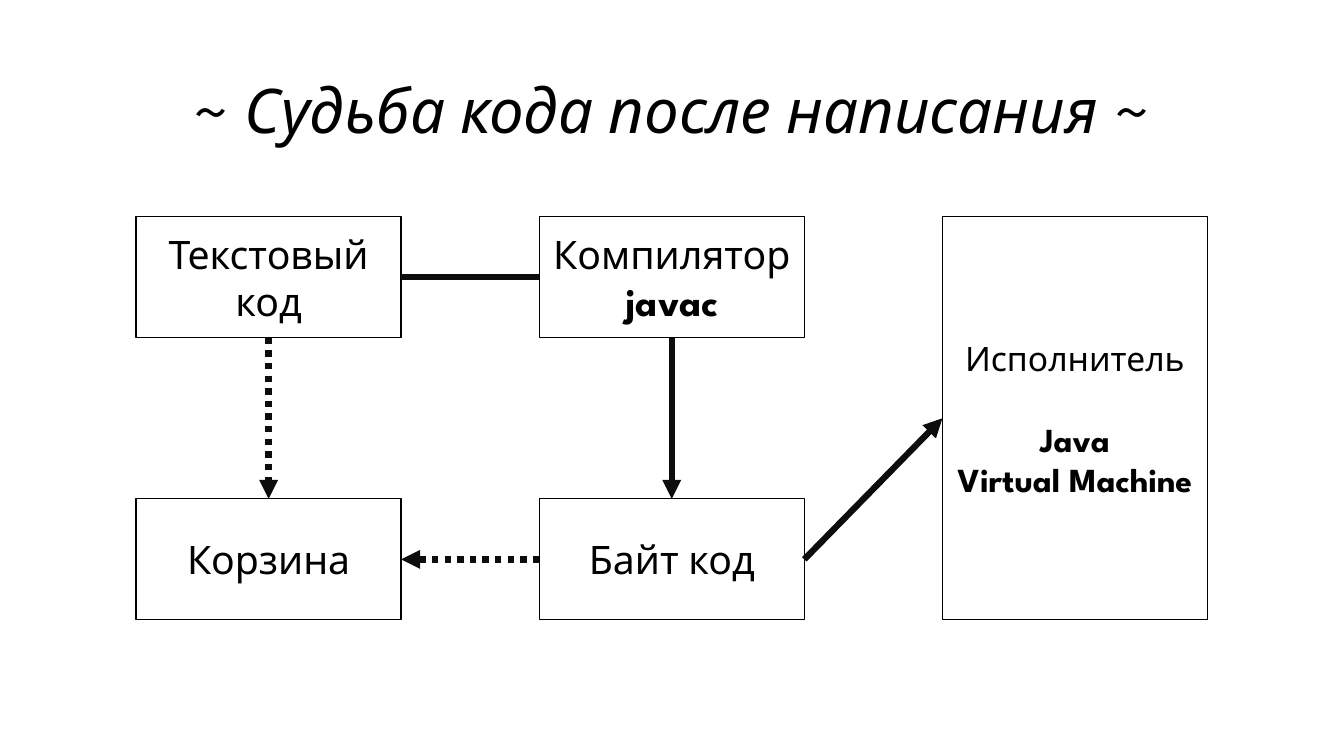
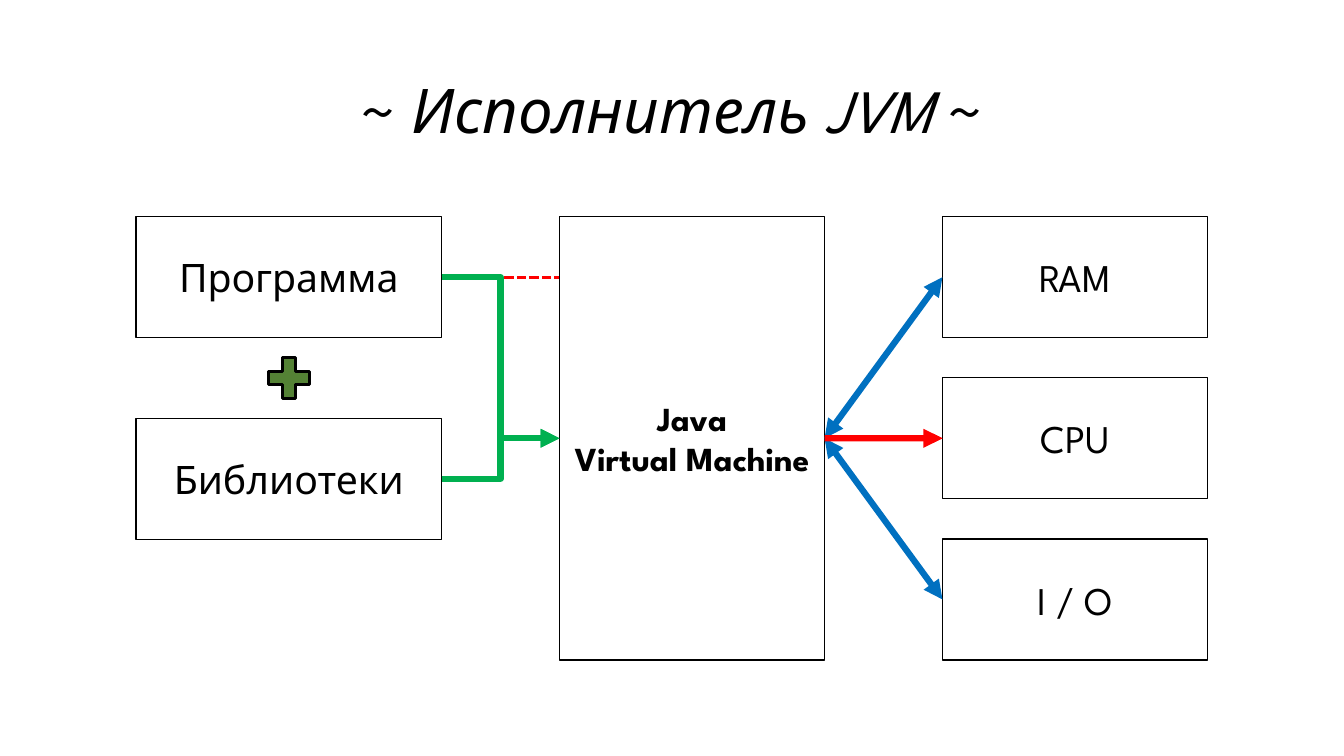
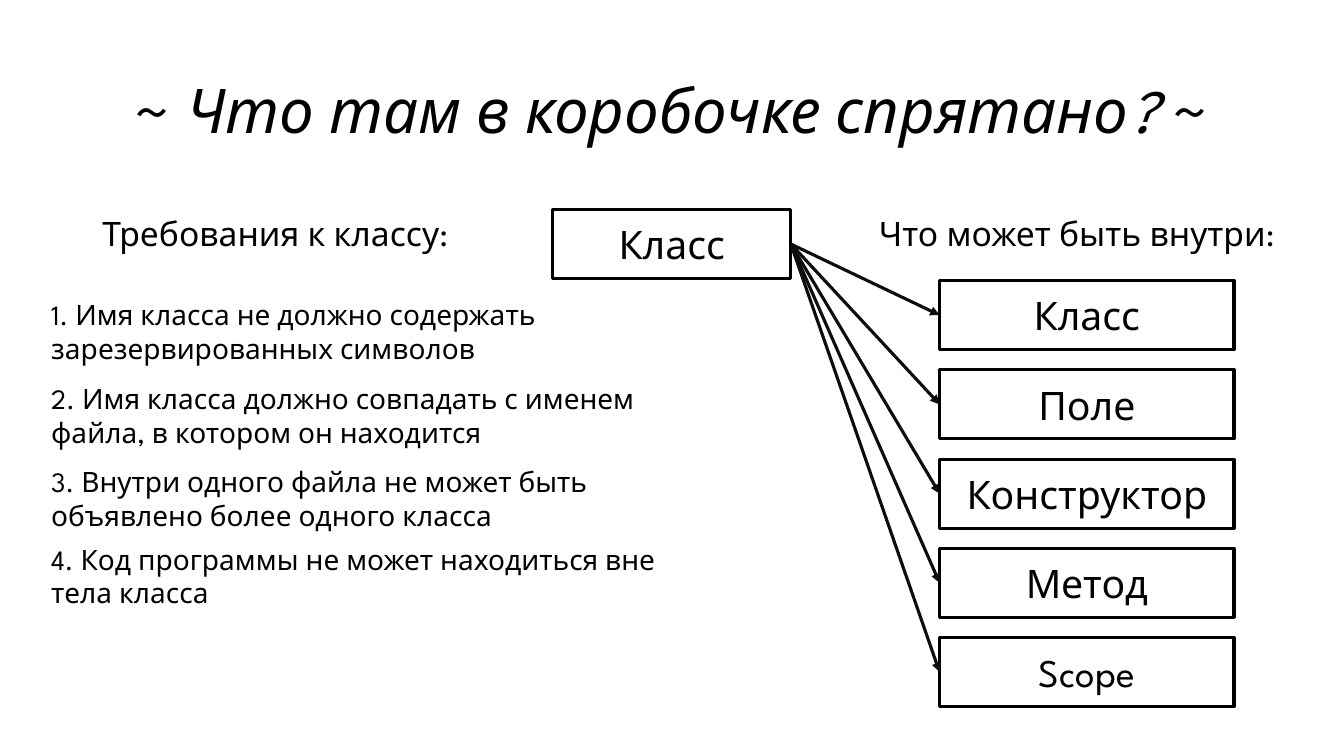
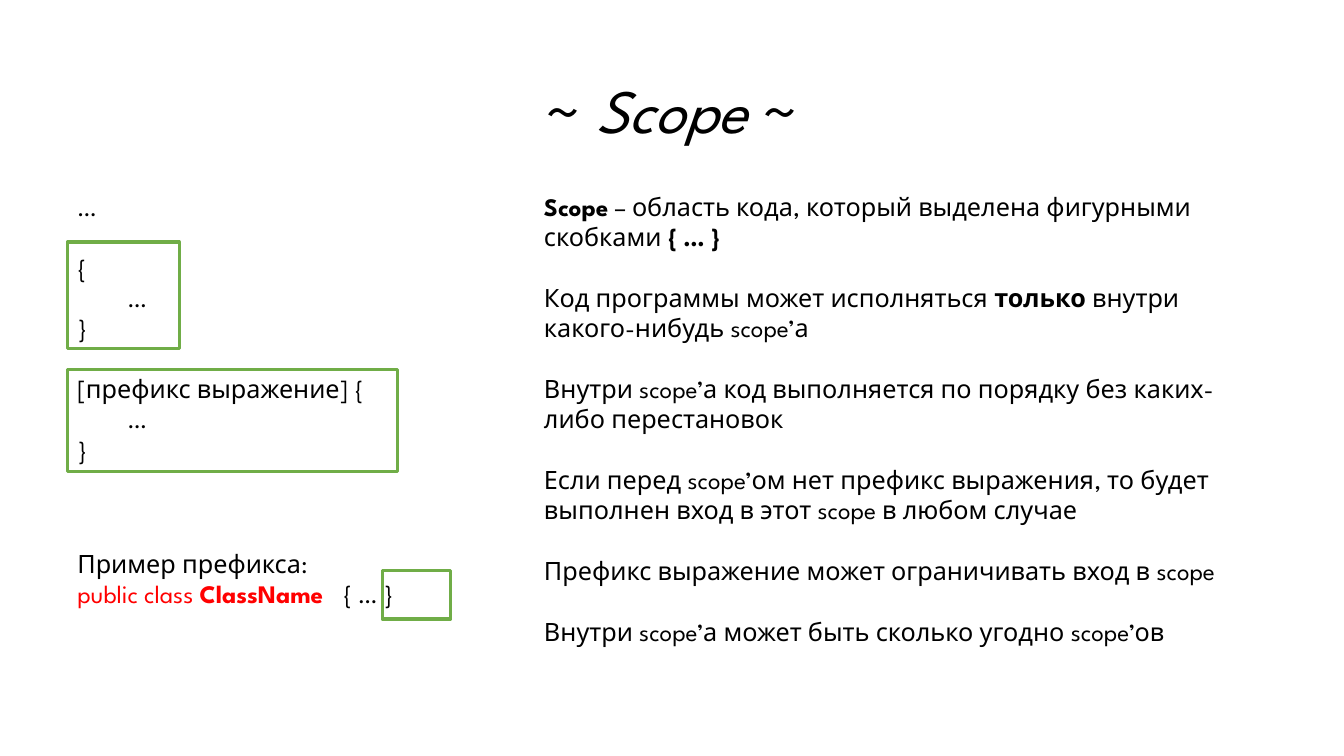
import pptx
import pptx.dml.color
import pptx.enum.dml
import pptx.enum.shapes
import pptx.enum.text
import pptx.oxml
import pptx.oxml.ns
import pptx.util
from pptx.util import Cm

FONT = "League Spartan"
BLACK, WHITE, INK = "000000", "FFFFFF", "0D0D0D"
RED, BLUE, GREEN = "FF0000", "0070C0", "00B050"
PLUS_GREEN, FRAME_GREEN = "548235", "70AD47"

TOP, SIDE = 5.46, 3.43
BOX_W, BOX_H = 6.68, 3.05
RIGHT_COLUMN = 23.75
UP, LEFT, DOWN, RIGHT = range(4)

BOLD = {"bold": True}
ITALIC = {"italic": True}
CENTER = pptx.enum.text.PP_ALIGN.CENTER
MIDDLE = pptx.enum.text.MSO_ANCHOR.MIDDLE
DASH = pptx.enum.dml.MSO_LINE
SHAPE = pptx.enum.shapes.MSO_SHAPE
CONNECTOR = pptx.enum.shapes.MSO_CONNECTOR


def colour(value):
    return pptx.dml.color.RGBColor.from_string(value)


def add_xml(parent, tag, **attributes):
    child = pptx.oxml.parse_xml(f"<a:{tag} {pptx.oxml.ns.nsdecls('a')}/>")
    for name, value in attributes.items():
        child.set(name, str(value))
    parent.append(child)
    return child


def style_font(font, bold=None, italic=None, tint=None):
    if bold is not None:
        font.bold = bold
    if italic is not None:
        font.italic = italic
    if tint:
        font.color.rgb = colour(tint)


def write(frame, paragraphs, size, align=None, gap=0, bold=None):
    frame.word_wrap = True
    for index, content in enumerate(paragraphs):
        paragraph = frame.add_paragraph() if index else frame.paragraphs[0]
        paragraph.alignment = align
        if index and gap:
            paragraph.space_before = pptx.util.Pt(gap)
        paragraph.font.name = FONT
        paragraph.font.size = pptx.util.Pt(size)
        style_font(paragraph.font, bold, tint=BLACK)
        for part in [content] if isinstance(content, str) else content:
            text, style = (part, {}) if isinstance(part, str) else part
            run = paragraph.add_run()
            run.text = text
            style_font(run.font, **style)
    return frame.paragraphs


def add_text(slide, left, top, width, height, paragraphs, size, gap=0):
    frame = slide.shapes.add_textbox(Cm(left), Cm(top), Cm(width), Cm(height)).text_frame
    frame.auto_size = pptx.enum.text.MSO_AUTO_SIZE.SHAPE_TO_FIT_TEXT
    return write(frame, paragraphs, size, gap=gap)


def add_titled_slide(deck, title):
    slide = deck.slides.add_slide(deck.slide_layouts[6])
    frame = slide.shapes.add_textbox(Cm(2.33), Cm(1.01), Cm(29.21), Cm(3.68)).text_frame
    frame.vertical_anchor = MIDDLE
    heading, = write(frame, [["~ ", (title + " ", ITALIC), "~"]], 44, CENTER)
    heading.line_spacing = 0.9
    return slide


def add_outline(slide, left, top, width, height, fill=None, line=BLACK, weight=2.25,
                kind=SHAPE.RECTANGLE):
    shape = slide.shapes.add_shape(kind, Cm(left), Cm(top), Cm(width), Cm(height))
    shape.shadow.inherit = False
    if fill:
        shape.fill.solid()
        shape.fill.fore_color.rgb = colour(fill)
    else:
        shape.fill.background()
    shape.line.color.rgb = colour(line)
    shape.line.width = pptx.util.Pt(weight)
    return shape


def add_box(slide, left, top, paragraphs, width=BOX_W, height=BOX_H, size=28, weight=1,
            bold=None):
    box = add_outline(slide, left, top, width, height, WHITE, weight=weight)
    box.text_frame.vertical_anchor = MIDDLE
    write(box.text_frame, paragraphs, size, CENTER, bold=bold)
    return box


def link(slide, source, source_side, target, target_side, tint=INK, weight=4.5, dash=None,
         kind=CONNECTOR.STRAIGHT, both_ends=False):
    connector = slide.shapes.add_connector(kind, 0, 0, 0, 0)
    connector.begin_connect(source, source_side)
    connector.end_connect(target, target_side)
    connector.line.color.rgb = colour(tint)
    connector.line.width = pptx.util.Pt(weight)
    if dash:
        connector.line.dash_style = dash
    outline = connector.line._get_or_add_ln()
    if both_ends:
        add_xml(outline, "headEnd", type="triangle")
    add_xml(outline, "tailEnd", type="triangle")
    add_xml(connector.element.spPr, "effectLst")
    return connector


def build_code_fate(deck):
    slide = add_titled_slide(deck, "Судьба кода после написания")
    middle, bottom = SIDE + 10.16, 12.57
    source = add_box(slide, SIDE, TOP, ["Текстовый код"])
    trash = add_box(slide, SIDE, bottom, ["Корзина"])
    bytecode = add_box(slide, middle, bottom, ["Байт код"])
    compiling = link(slide, source, RIGHT, bytecode, UP, kind=CONNECTOR.ELBOW)
    compiling.element.spPr.prstGeom.set("prst", "bentConnector2")
    add_box(slide, middle, TOP, ["Компилятор", [("javac", BOLD)]])
    executor = add_box(slide, RIGHT_COLUMN, TOP,
                       ["Исполнитель", [("Java", BOLD)], [("Virtual Machine", BOLD)]],
                       height=bottom + BOX_H - TOP, size=24)
    executor.text_frame.paragraphs[1].space_before = pptx.util.Pt(29)
    link(slide, source, DOWN, trash, UP, dash=DASH.ROUND_DOT)
    link(slide, bytecode, LEFT, trash, RIGHT, dash=DASH.ROUND_DOT)
    link(slide, bytecode, RIGHT, executor, LEFT)


def build_jvm(deck):
    slide = add_titled_slide(deck, "Исполнитель JVM")
    input_w, step, plus_size = 7.7, 4.06, 1.4
    library_top = TOP + 5.08
    program = add_box(slide, SIDE, TOP, ["Программа"], input_w)
    libraries = add_box(slide, SIDE, library_top, ["Библиотеки"], input_w)
    ram, cpu, ports = [add_box(slide, RIGHT_COLUMN, TOP + row * step, [name])
                       for row, name in enumerate(["RAM", "CPU", "I / O"])]
    link(slide, program, RIGHT, cpu, LEFT, RED, 2.25, DASH.SQUARE_DOT, CONNECTOR.ELBOW)
    add_outline(slide, SIDE + (input_w - plus_size) / 2,
                (TOP + BOX_H + library_top - plus_size) / 2,
                plus_size, plus_size, PLUS_GREEN, kind=SHAPE.MATH_PLUS)
    machine = add_box(slide, 14.1, TOP, ["Java", "Virtual Machine"],
                      height=2 * step + BOX_H, size=24, bold=True)
    for supplier in (program, libraries):
        link(slide, supplier, RIGHT, machine, LEFT, GREEN, kind=CONNECTOR.ELBOW)
    for resource in (ram, ports):
        link(slide, machine, RIGHT, resource, LEFT, BLUE, both_ends=True)
    link(slide, machine, RIGHT, cpu, LEFT, RED)


def build_class_contents(deck):
    slide = add_titled_slide(deck, "Что там в коробочке спрятано?")
    member_h = 1.74
    owner = add_box(slide, 13.93, 5.28, ["Класс"], 6, member_h, weight=2.25)
    for row, name in enumerate(["Класс", "Поле", "Конструктор", "Метод", "Scope"]):
        member = add_box(slide, 23.68, 7.07 + row * 2.25, [name], 7.42, member_h, weight=2.25)
        link(slide, owner, RIGHT, member, LEFT, weight=2.25)
    for left, heading in [(2.33, "Требования к классу:"), (21.9, "Что может быть внутри:")]:
        add_text(slide, left, 5.23, 11, 1.28, [heading], 24)
    for top, width, rule in [
        (7.37, 14.02, "1. Имя класса не должно содержать зарезервированных символов"),
        (9.5, 16.2, "2. Имя класса должно совпадать с именем файла, в котором он находится"),
        (11.58, 16.2, "3. Внутри одного файла не может быть объявлено более одного класса"),
        (13.54, 16.2, "4. Код программы не может находиться вне тела класса"),
    ]:
        add_text(slide, 0.41 * 2.54, top, width, 1.97, [rule], 20)


def build_scope(deck):
    slide = add_titled_slide(deck, "Scope")
    left, width, top, line_gap = 1.7, 11.73, 4.7, 21.8
    add_text(slide, 13.46, top, 18.7, 11.79, [
        [("Scope", BOLD), " – область кода, который выделена фигурными скобками ",
         ("{ … }", BOLD)],
        ["Код программы может исполняться ", ("только", BOLD),
         " внутри какого-нибудь scope’а"],
        "Внутри scope’а код выполняется по порядку без каких-либо перестановок",
        "Если перед scope’ом нет префикс выражения, то будет выполнен вход в этот scope "
        "в любом случае",
        "Префикс выражение может ограничивать вход в scope",
        "Внутри scope’а может быть сколько угодно scope’ов",
    ], 18, line_gap)

    syntax = add_text(slide, left, top, width, 7.19,
                      ["…", "{", "…", "}", "[префикс выражение] {", "…", "}"], 18)
    for opening in (1, 4):
        syntax[opening].space_before = pptx.util.Pt(line_gap)
        body = syntax[opening + 1]._p.get_or_add_pPr()
        body.set("marL", str(Cm(1.27)))
        body.set("indent", "0")

    example = add_text(slide, left, 13.69, width, 1.8, [
        "Пример префикса:",
        [("public class ", {"tint": RED}), ("ClassName", {"tint": RED, "bold": True}),
         "\t{ … }"],
    ], 18)
    properties = example[1]._p.get_or_add_pPr()
    tabs = add_xml(properties, "tabLst")
    add_xml(tabs, "tab", pos=Cm(6.7), algn="l")
    properties.insert(properties.index(properties.find(pptx.oxml.ns.qn("a:defRPr"))), tabs)

    for frame in [(left, 6.1, 2.82, 2.69), (left, 9.32, 8.31, 2.57), (9.63, 14.38, 1.73, 1.22)]:
        add_outline(slide, *frame, line=FRAME_GREEN)


def main():
    deck = pptx.Presentation()
    deck.slide_width, deck.slide_height = Cm(33.87), Cm(19.05)
    build_code_fate(deck)
    build_jvm(deck)
    build_class_contents(deck)
    build_scope(deck)
    deck.save("out.pptx")


if __name__ == "__main__":
    main()
